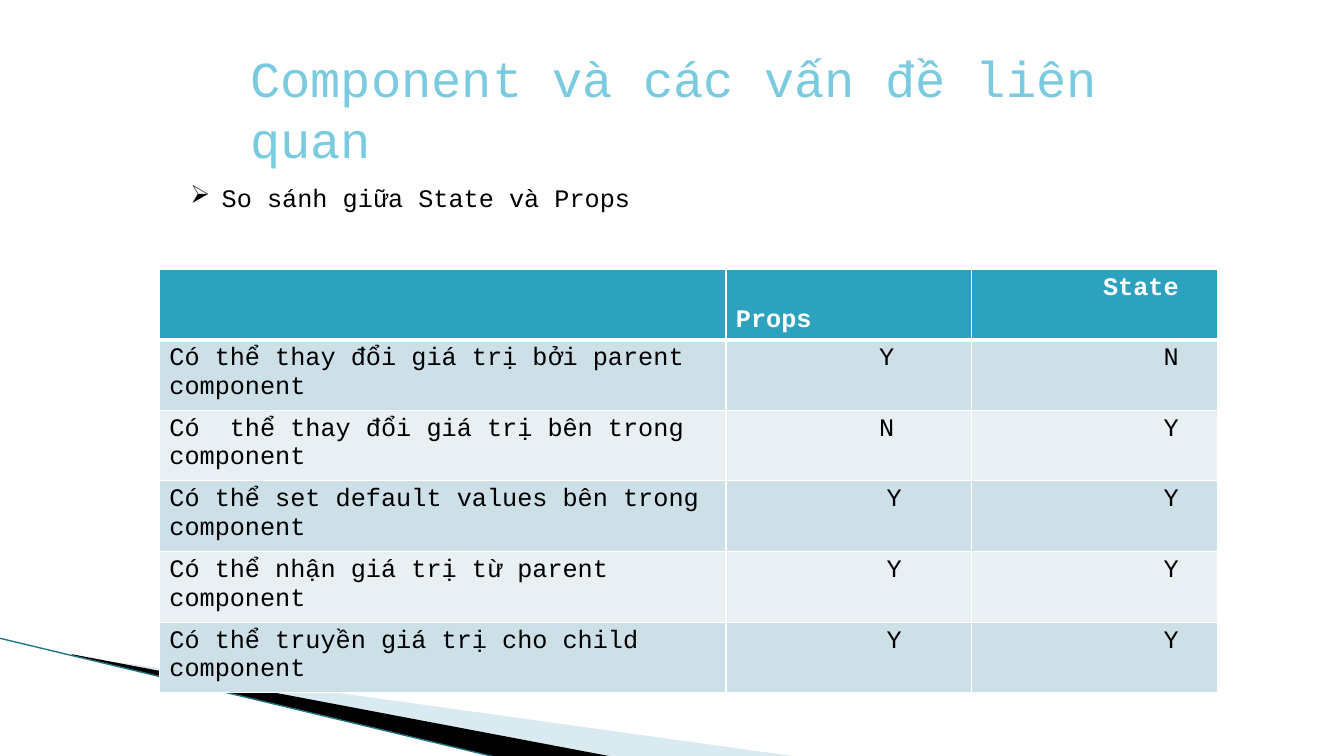
from lxml.etree import SubElement
from pptx import Presentation
from pptx.dml.color import RGBColor
from pptx.enum.shapes import MSO_CONNECTOR
from pptx.enum.text import MSO_ANCHOR, MSO_AUTO_SIZE, PP_ALIGN
from pptx.oxml.ns import qn
from pptx.util import Inches, Pt

FONT = "Courier New"
COLORS = {
    "title": "7ACBE0", "text": "000000", "white": "FFFFFF",
    "header": "2DA2BF", "odd_row": "CDE0E8", "even_row": "E8F0F4",
    "pale_wedge": "A0CBDC", "dark_wedge": "000000", "edge": "1B7587",
}
TITLE = "Component và các vấn đề liên quan"
SUBTITLE = "So sánh giữa State và Props"
HEADER = ("", "Props", "State")
# Statement, Props, State, left margin of the Props cell
COMPARISONS = [
    ("Có thể thay đổi giá trị bởi parent component", "Y", "N", 0.85),
    ("Có  thể thay đổi giá trị bên trong component", "N", "Y", 0.85),
    ("Có thể set default values bên trong component", "Y", "Y", 1.0),
    ("Có thể nhận giá trị từ parent component", "Y", "Y", 1.0),
    ("Có thể truyền giá trị cho child component", "Y", "Y", 1.0),
]
COLUMN_WIDTHS = (5.62, 2.44, 2.44)
ROW_HEIGHT = 0.7
STATE_MARGIN = 0.39
WEDGES = [
    ("pale_wedge", 40, [(0.73, 6.51), (7.93, 7.51), (6.08, 7.51), (0.73, 6.5)]),
    ("dark_wedge", 100, [(0.71, 6.49), (6.09, 7.51), (4.96, 7.52), (0.72, 6.5)]),
]
EDGE = (-0.01, 6.33, 4.95, 7.52)


def color(name):
    return RGBColor.from_string(COLORS[name])


def write(frame, text, size=18, fill="text", bold=False, align=PP_ALIGN.LEFT):
    paragraph = frame.paragraphs[0]
    paragraph.alignment = align
    run = paragraph.add_run()
    run.text = text
    run.font.name = FONT
    run.font.size = Pt(size)
    run.font.bold = bold
    run.font.color.rgb = color(fill)
    return paragraph


def place(shape, left, top, width, height):
    shape.left, shape.top = Inches(left), Inches(top)
    shape.width, shape.height = Inches(width), Inches(height)


def add_wedge(slide, fill, opacity, points):
    corners = [(Inches(x), Inches(y)) for x, y in points]
    builder = slide.shapes.build_freeform(*corners[0])
    builder.add_line_segments(corners[1:])
    wedge = builder.convert_to_shape()
    wedge.shadow.inherit = False
    wedge.line.fill.background()
    wedge.fill.solid()
    wedge.fill.fore_color.rgb = color(fill)
    if opacity < 100:
        solid = wedge.fill._xPr.find(qn("a:solidFill"))
        SubElement(solid[0], qn("a:alpha"), val=str(opacity * 1000))


def add_edge(slide):
    edge = slide.shapes.add_connector(MSO_CONNECTOR.STRAIGHT, *map(Inches, EDGE))
    edge.line.color.rgb = color("edge")
    edge.line.width = Pt(0.95)
    SubElement(edge._element.spPr, qn("a:effectLst"))


def add_title(slide):
    title = slide.shapes.title
    place(title, 2.38, 0.42, 9.18, 1.3)
    frame = title.text_frame
    frame.word_wrap = True
    frame.auto_size = MSO_AUTO_SIZE.NONE
    frame.vertical_anchor = MSO_ANCHOR.TOP
    write(frame, TITLE, size=36, fill="title")


def add_subtitle(slide):
    box = slide.shapes.add_textbox(*map(Inches, (1.79, 1.76, 9.18, 0.4)))
    box.text_frame.word_wrap = True
    properties = write(box.text_frame, SUBTITLE)._p.get_or_add_pPr()
    properties.set("marL", str(Inches(0.31)))
    properties.set("indent", str(-Inches(0.31)))
    SubElement(properties, qn("a:buChar"), char="➢")


def style_cell(cell, fill, top=1, bottom=1):
    """Fill a cell and give it white borders, widths in points."""
    properties = cell._tc.get_or_add_tcPr()
    for side, width in (("L", 1), ("R", 1), ("T", top), ("B", bottom)):
        border = SubElement(properties, qn(f"a:ln{side}"), w=str(Pt(width)))
        solid = SubElement(border, qn("a:solidFill"))
        SubElement(solid, qn("a:srgbClr"), val=COLORS["white"])
    cell.fill.solid()
    cell.fill.fore_color.rgb = color(fill)


def add_comparison_table(slide):
    row_count = len(COMPARISONS) + 1
    frame = slide.shapes.add_table(
        row_count, len(HEADER), Inches(1.58), Inches(2.67),
        Inches(sum(COLUMN_WIDTHS)), Inches(ROW_HEIGHT * row_count))
    table = frame.table
    for column, width in zip(table.columns, COLUMN_WIDTHS):
        column.width = Inches(width)
    for row in table.rows:
        row.height = Inches(ROW_HEIGHT)

    alignments = (PP_ALIGN.LEFT, PP_ALIGN.CENTER, PP_ALIGN.RIGHT)
    header_alignments = (PP_ALIGN.LEFT, PP_ALIGN.LEFT, PP_ALIGN.RIGHT)
    for index, (text, align) in enumerate(zip(HEADER, header_alignments)):
        cell = table.cell(0, index)
        style_cell(cell, "header", bottom=3)
        if text:
            write(cell.text_frame, text, fill="white", bold=True, align=align)
    table.cell(0, 1).vertical_anchor = MSO_ANCHOR.BOTTOM
    table.cell(0, 2).margin_right = Inches(STATE_MARGIN)

    for number, (*texts, props_margin) in enumerate(COMPARISONS, start=1):
        fill = "odd_row" if number % 2 else "even_row"
        for index, (text, align) in enumerate(zip(texts, alignments)):
            cell = table.cell(number, index)
            style_cell(cell, fill, top=3 if number == 1 else 1)
            write(cell.text_frame, text, align=align)
        table.cell(number, 1).margin_left = Inches(props_margin)
        table.cell(number, 2).margin_right = Inches(STATE_MARGIN)


def main():
    presentation = Presentation()
    presentation.slide_width = Inches(13.33)
    presentation.slide_height = Inches(7.5)
    slide = presentation.slides.add_slide(presentation.slide_layouts[5])
    for wedge in WEDGES:
        add_wedge(slide, *wedge)
    add_edge(slide)
    add_title(slide)
    add_subtitle(slide)
    add_comparison_table(slide)
    presentation.save("out.pptx")


if __name__ == "__main__":
    main()
